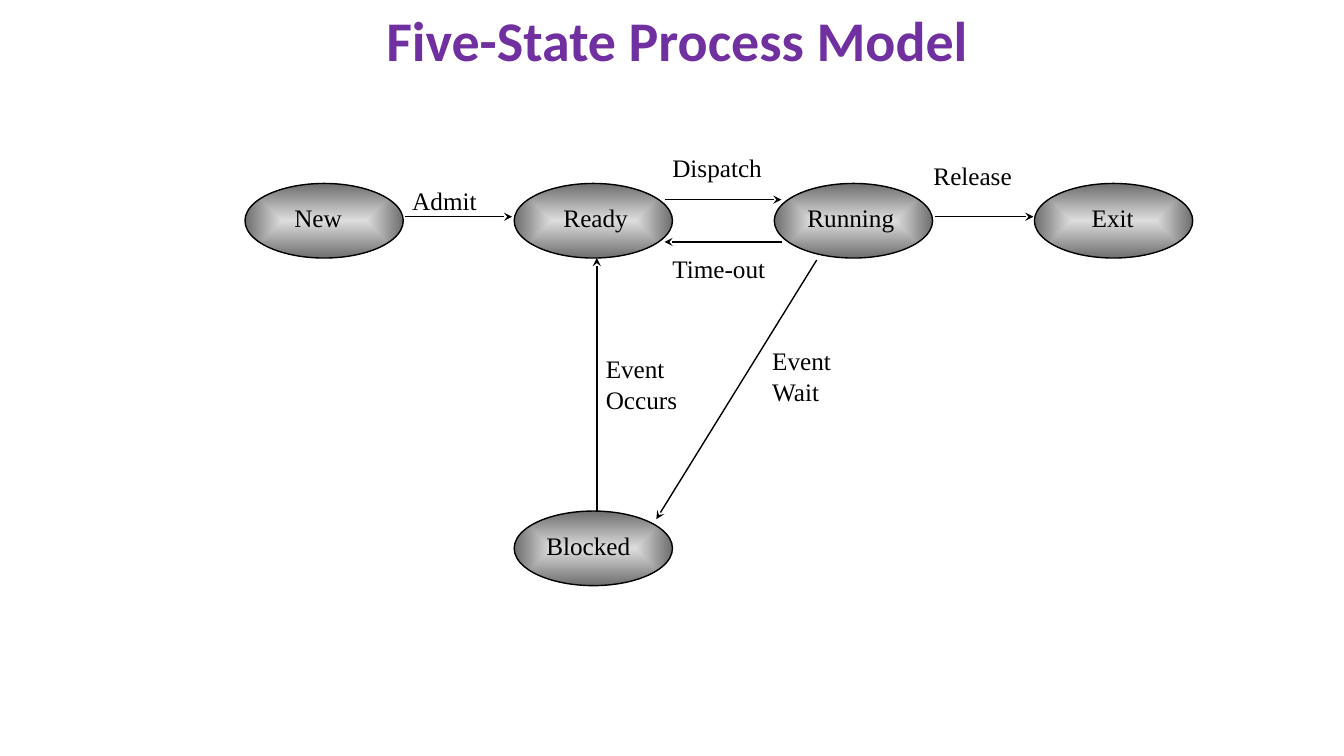
import pptx
import pptx.dml.color
import pptx.enum.shapes
import pptx.enum.text
import pptx.oxml
import pptx.oxml.ns
import pptx.util

EMU_PER_PX = 9144
COLORS = {"title": "7030A0", "ink": "000000", "glow": "DDDDDD", "rim": "6E6E6E"}
STATE_WIDTH, STATE_HEIGHT = 157, 74
TOP_ROW, BLOCKED_ROW = 182, 507
LINE_HEIGHT, LABEL_PADDING = 30, 10


def px(length):
    return pptx.util.Emu(length * EMU_PER_PX)


def color(name):
    return pptx.dml.color.RGBColor.from_string(COLORS[name])


def a_element(tag, **attributes):
    element = pptx.oxml.parse_xml(f"<a:{tag} {pptx.oxml.ns.nsdecls('a')}/>")
    for key, value in attributes.items():
        element.set(key, value)
    return element


def write(frame, text, size=18, font="Times New Roman", ink="ink", bold=False,
          align=pptx.enum.text.PP_ALIGN.LEFT, spacing=None):
    for index, line in enumerate(text.split("\n")):
        paragraph = frame.add_paragraph() if index else frame.paragraphs[0]
        paragraph.alignment = align
        paragraph.line_spacing = spacing
        run = paragraph.add_run()
        run.text = line
        run.font.size = pptx.util.Pt(size)
        run.font.name = font
        run.font.bold = bold
        run.font.color.rgb = color(ink)


class StateDiagram:
    def __init__(self, slide):
        self.slide = slide
        self.line_width = pptx.util.Pt(1)

    def title(self, text, left, top, width, height):
        heading = self.slide.shapes.title
        heading.left, heading.top = px(left), px(top)
        heading.width, heading.height = px(width), px(height)
        frame = heading.text_frame
        frame.auto_size = pptx.enum.text.MSO_AUTO_SIZE.NONE
        frame.vertical_anchor = pptx.enum.text.MSO_ANCHOR.MIDDLE
        write(frame, text, size=40, font="Calibri", ink="title", bold=True,
              align=pptx.enum.text.PP_ALIGN.CENTER, spacing=0.9)

    def state(self, left, top):
        oval = self.slide.shapes.add_shape(
            pptx.enum.shapes.MSO_SHAPE.OVAL,
            px(left), px(top), px(STATE_WIDTH), px(STATE_HEIGHT))
        oval.shadow.inherit = False
        oval.line.color.rgb = color("ink")
        oval.line.width = self.line_width
        oval.fill.gradient()
        for stop, shade, position in zip(oval.fill.gradient_stops, ("glow", "rim"), (0, 1)):
            stop.color.rgb = color(shade)
            stop.position = position
        gradient = oval.element.spPr.find(pptx.oxml.ns.qn("a:gradFill"))
        gradient.remove(gradient.find(pptx.oxml.ns.qn("a:lin")))
        radiating = a_element("path", path="shape")
        radiating.append(a_element("fillToRect", l="50000", t="50000", r="50000", b="50000"))
        gradient.append(radiating)

    def label(self, text, left, top, width):
        height = LABEL_PADDING + LINE_HEIGHT * len(text.split("\n"))
        box = self.slide.shapes.add_textbox(px(left), px(top), px(width), px(height))
        frame = box.text_frame
        frame.word_wrap = False
        frame.auto_size = pptx.enum.text.MSO_AUTO_SIZE.SHAPE_TO_FIT_TEXT
        write(frame, text)

    def arrow(self, start_x, start_y, end_x, end_y):
        transition = self.slide.shapes.add_connector(
            pptx.enum.shapes.MSO_CONNECTOR.STRAIGHT,
            px(start_x), px(start_y), px(end_x), px(end_y))
        transition.line.color.rgb = color("ink")
        transition.line.width = self.line_width
        transition.line._get_or_add_ln().append(a_element("tailEnd", type="stealth"))
        transition.element.spPr.append(a_element("effectLst"))


def main():
    presentation = pptx.Presentation()
    presentation.slide_width, presentation.slide_height = px(1333), px(750)
    title_only = presentation.slide_layouts[5]
    diagram = StateDiagram(presentation.slides.add_slide(title_only))
    diagram.title("Five-State Process Model", 9, 0, 1325, 86)

    states = [
        ("New", 243, TOP_ROW, 282, 68),
        ("Ready", 510, TOP_ROW, 549, 85),
        ("Running", 768, TOP_ROW, 791, 107),
        ("Exit", 1026, TOP_ROW, 1073, 64),
        ("Blocked", 510, BLOCKED_ROW, 532, 104),
    ]
    for name, left, top, name_left, name_width in states:
        diagram.state(left, top)
        diagram.label(name, name_left, top + 14, name_width)

    transitions = [
        ("Admit", (402, 215, 508, 215), (399, 179, 85)),
        ("Event\nOccurs", (592, 507, 592, 256), (591, 346, 91)),
        ("Release", (927, 215, 1025, 215), (916, 154, 98)),
        ("Dispatch", (660, 198, 775, 198), (657, 146, 110)),
        ("Time-out", (776, 240, 659, 240), (657, 246, 114)),
        ("Event\nWait", (810, 258, 651, 515), (756, 338, 79)),
    ]
    for event, ends, place in transitions:
        diagram.arrow(*ends)
        diagram.label(event, *place)

    presentation.save("out.pptx")


if __name__ == "__main__":
    main()
